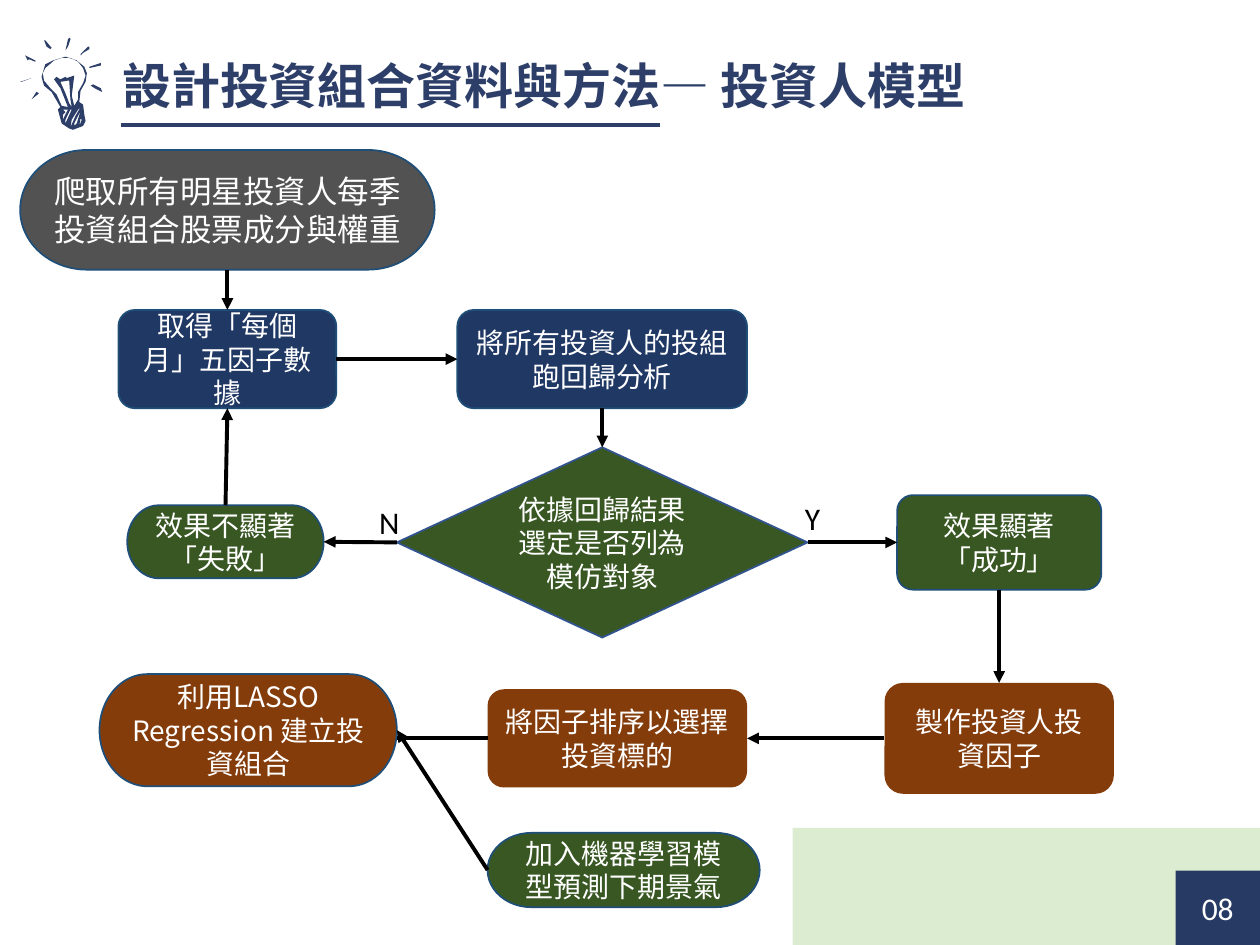
from dataclasses import dataclass

from lxml.etree import SubElement
from pptx import Presentation
from pptx.dml.color import RGBColor
from pptx.enum.shapes import MSO_CONNECTOR, MSO_SHAPE as Preset
from pptx.enum.text import MSO_ANCHOR as Anchor, MSO_AUTO_SIZE as AutoSize, PP_ALIGN as Align
from pptx.oxml.ns import qn
from pptx.util import Inches, Pt


@dataclass(frozen=True)
class Theme:
    title: str = "2D3F69"
    start: str = "525252"
    data: str = "203864"
    decision: str = "385723"
    factor: str = "843C0B"
    node_edge: str = "1F4E79"
    diamond_edge: str = "325491"
    arrow: str = "000000"
    band: str = "A9D18E"
    page: str = "273A64"
    light: str = "FFFFFF"
    cjk_font: str = "Noto Sans CJK SC"
    title_font: str = "Noto Sans CJK TC"
    latin_font: str = "Calibri"
    title_size: int = 28
    large_size: int = 18
    node_size: int = 16
    arrow_width: float = 2.25
    edge_width: float = 1


THEME = Theme()
TOP, LEFT, BOTTOM, RIGHT = range(4)

RAYS = [
    [(0.54, 0.31), (0.52, 0.4), (0.54, 0.37), (0.56, 0.31), (0.55, 0.3)],
    [(0.35, 0.32), (0.37, 0.37), (0.4, 0.39), (0.41, 0.38), (0.36, 0.32)],
    [(0.7, 0.37), (0.64, 0.43), (0.64, 0.44), (0.66, 0.42), (0.71, 0.39), (0.71, 0.37)],
    [(0.2, 0.44), (0.22, 0.48), (0.23, 0.47), (0.28, 0.49), (0.28, 0.48)],
    [(0.71, 0.53), (0.71, 0.54), (0.8, 0.52), (0.8, 0.5)],
    [(0.72, 0.68), (0.75, 0.7), (0.81, 0.73), (0.8, 0.7), (0.74, 0.67)],
    [(0.29, 0.73), (0.25, 0.79), (0.3, 0.75), (0.31, 0.74)],
    [(0.16, 0.65), (0.17, 0.65), (0.25, 0.62)],
]
# Outer outline first, then the gaps that show through it.
BULB = [
    [(0.67, 0.53), (0.61, 0.48), (0.52, 0.45), (0.42, 0.48), (0.36, 0.51), (0.33, 0.61),
     (0.35, 0.68), (0.41, 0.73), (0.48, 0.85), (0.46, 0.87), (0.49, 0.98), (0.55, 1.02),
     (0.58, 1.03), (0.66, 1), (0.68, 0.96), (0.67, 0.91), (0.66, 0.83), (0.63, 0.81),
     (0.64, 0.72), (0.68, 0.65), (0.69, 0.58)],
    [(0.62, 0.73), (0.62, 0.79), (0.59, 0.84), (0.57, 0.76), (0.59, 0.6), (0.53, 0.62),
     (0.52, 0.61), (0.48, 0.63), (0.45, 0.61), (0.43, 0.63), (0.48, 0.7), (0.54, 0.85),
     (0.49, 0.84), (0.45, 0.75), (0.4, 0.7), (0.35, 0.64), (0.34, 0.58), (0.36, 0.54),
     (0.43, 0.48), (0.49, 0.46), (0.56, 0.46), (0.62, 0.49), (0.66, 0.54), (0.68, 0.6),
     (0.66, 0.66)],
    [(0.56, 0.79), (0.57, 0.85), (0.55, 0.82), (0.52, 0.74), (0.48, 0.65), (0.54, 0.64),
     (0.55, 0.64)],
    [(0.5, 0.95), (0.5, 0.91), (0.52, 0.89), (0.5, 0.87), (0.54, 0.87)],
    [(0.52, 0.95), (0.56, 0.87), (0.57, 0.87), (0.52, 0.98)],
    [(0.61, 0.98), (0.59, 1), (0.59, 0.98), (0.64, 0.88)],
    [(0.64, 0.85), (0.6, 0.92), (0.56, 1.01), (0.57, 0.95), (0.62, 0.87)],
    [(0.63, 1), (0.64, 0.94), (0.65, 0.95)],
]


def rgb(value):
    return RGBColor.from_string(value)


def paint(shape, fill, edge=None):
    shape.shadow.inherit = False
    shape.fill.solid()
    shape.fill.fore_color.rgb = rgb(fill)
    if edge:
        shape.line.color.rgb = rgb(edge)
        shape.line.width = Pt(THEME.edge_width)
    else:
        shape.line.fill.background()


def write(frame, text, size, font, color, bold=None, align=Align.LEFT):
    frame.word_wrap = True
    frame.text = text
    for paragraph in frame.paragraphs:
        paragraph.alignment = align
        style = paragraph.font
        style.size, style.name, style.bold = Pt(size), font, bold
        style.color.rgb = rgb(color)
        defaults = paragraph._p.pPr.find(qn("a:defRPr"))
        SubElement(defaults, qn("a:ea")).set("typeface", font)


def add_block(slide, preset, box, fill, text="", edge=None,
              size=THEME.node_size, font=THEME.cjk_font):
    block = slide.shapes.add_shape(preset, *map(Inches, box))
    paint(block, fill, edge)
    if text:
        block.text_frame.vertical_anchor = Anchor.MIDDLE
        write(block.text_frame, text, size, font, THEME.light, align=Align.CENTER)
    return block


def add_line(slide, start, end, color):
    line = slide.shapes.add_connector(MSO_CONNECTOR.STRAIGHT, *map(Inches, (*start, *end)))
    line.line.color.rgb = rgb(color)
    line.line.width = Pt(THEME.arrow_width)
    SubElement(line._element.spPr, qn("a:effectLst"))
    return line


def add_arrow(slide, source, source_side, target=None, target_side=None, end=(0, 0)):
    """Join two blocks, or run from a block to the free point end."""
    arrow = add_line(slide, (0, 0), end, THEME.arrow)
    arrow.begin_connect(source, source_side)
    if target is not None:
        arrow.end_connect(target, target_side)
    SubElement(arrow.line._get_or_add_ln(), qn("a:tailEnd")).set("type", "triangle")


def add_outline(slide, contours):
    """Draw closed contours, given in inches, as one filled outline."""
    first, *gaps = [[(Inches(x), Inches(y)) for x, y in contour] for contour in contours]
    builder = slide.shapes.build_freeform(*first[0])
    builder.add_line_segments(first[1:])
    for gap in gaps:
        builder.move_to(*gap[0])
        builder.add_line_segments(gap[1:])
    paint(builder.convert_to_shape(), THEME.title)


def add_heading(slide):
    add_line(slide, (0.96, 0.99), (5.24, 0.99), THEME.title)
    frame = slide.shapes.add_textbox(*map(Inches, (0.9, 0.47, 7.03, 0.47))).text_frame
    frame.vertical_anchor = Anchor.MIDDLE
    frame.margin_left = frame.margin_right = Inches(0.07)
    frame.margin_top = frame.margin_bottom = Inches(0.04)
    write(frame, "設計投資組合資料與方法— 投資人模型", THEME.title_size,
          THEME.title_font, THEME.title, bold=True)
    frame.paragraphs[0].line_spacing = 0.9
    for ray in RAYS:
        add_outline(slide, [ray])
    add_outline(slide, BULB)


def add_branch_label(slide, box, text):
    frame = slide.shapes.add_textbox(*map(Inches, box)).text_frame
    write(frame, text, THEME.large_size, THEME.latin_font, THEME.arrow)
    frame.auto_size = AutoSize.SHAPE_TO_FIT_TEXT


def add_flow(slide):
    rounded, terminator = Preset.ROUNDED_RECTANGLE, Preset.FLOWCHART_TERMINATOR
    edge = THEME.node_edge
    crawl = add_block(slide, terminator, (0.16, 1.19, 3.29, 0.95), THEME.start,
                      "爬取所有明星投資人每季投資組合股票成分與權重", edge, THEME.large_size)
    monthly = add_block(slide, rounded, (0.94, 2.46, 1.73, 0.78), THEME.data,
                        "取得「每個月」五因子數據", edge)
    regression = add_block(slide, rounded, (3.63, 2.46, 2.3, 0.78), THEME.data,
                           "將所有投資人的投組跑回歸分析", edge)
    choice = add_block(slide, Preset.DIAMOND, (3.15, 3.55, 3.26, 1.51), THEME.decision,
                       "依據回歸結果選定是否列為模仿對象", THEME.diamond_edge)
    failure = add_block(slide, terminator, (1.01, 4.01, 1.56, 0.58), THEME.decision,
                        "效果不顯著「失敗」", edge)
    success = add_block(slide, rounded, (7.12, 3.93, 1.62, 0.75), THEME.decision,
                        "效果顯著\n「成功」", edge)
    factor = add_block(slide, rounded, (7.02, 5.42, 1.82, 0.88), THEME.factor,
                       "製作投資人投資因子")
    ranking = add_block(slide, rounded, (3.87, 5.47, 2.06, 0.78), THEME.factor,
                        "將因子排序以選擇投資標的")
    add_arrow(slide, ranking, LEFT, end=(3.01, 5.86))
    portfolio = add_block(slide, terminator, (0.79, 5.35, 2.36, 0.89), THEME.factor,
                          "利用LASSO Regression 建立投資組合", edge)
    forecast = add_block(slide, terminator, (3.87, 6.61, 2.16, 0.59), THEME.decision,
                         "加入機器學習模型預測下期景氣", edge)
    for link in (
        (crawl, BOTTOM, monthly, TOP),
        (monthly, RIGHT, regression, LEFT),
        (regression, BOTTOM, choice, TOP),
        (choice, LEFT, failure, RIGHT),
        (choice, RIGHT, success, LEFT),
        (failure, TOP, monthly, BOTTOM),
        (success, BOTTOM, factor, TOP),
        (factor, LEFT, ranking, RIGHT),
        (forecast, LEFT, portfolio, RIGHT),
    ):
        add_arrow(slide, *link)
    add_branch_label(slide, (6.29, 3.91, 0.37, 0.36), "Y")
    add_branch_label(slide, (2.91, 3.94, 0.49, 0.36), "N")


def add_page_corner(slide):
    band = add_block(slide, Preset.RECTANGLE, (6.29, 6.57, 3.71, 0.93), THEME.band)
    tint = band._element.spPr.find(qn("a:solidFill"))[0]
    SubElement(tint, qn("a:alpha")).set("val", "40000")
    add_block(slide, Preset.RECTANGLE, (9.33, 6.91, 0.67, 0.59), THEME.page, "08",
              size=THEME.large_size, font=THEME.latin_font)


def main():
    deck = Presentation()
    deck.slide_width, deck.slide_height = Inches(10), Inches(7.5)
    slide = deck.slides.add_slide(deck.slide_layouts[6])
    add_heading(slide)
    add_flow(slide)
    add_page_corner(slide)
    deck.save("out.pptx")


if __name__ == "__main__":
    main()
